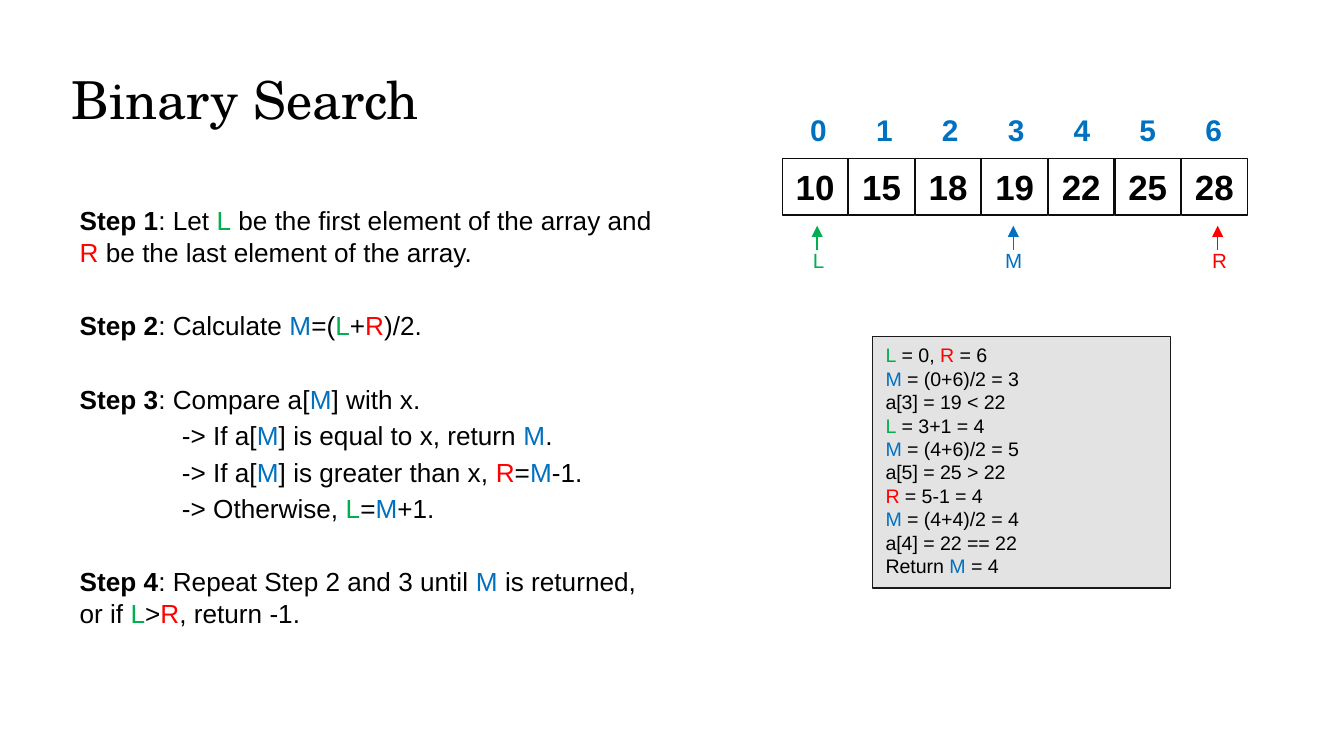
from lxml import etree
from pptx import Presentation
from pptx.dml.color import RGBColor
from pptx.enum.shapes import MSO_CONNECTOR, MSO_SHAPE
from pptx.enum.text import MSO_ANCHOR, PP_ALIGN
from pptx.oxml.ns import qn
from pptx.util import Inches, Pt

RECT, LINE = MSO_SHAPE.RECTANGLE, MSO_CONNECTOR.STRAIGHT
LEFT, MID = PP_ALIGN.LEFT, PP_ALIGN.CENTER
TOP, CENTER = MSO_ANCHOR.TOP, MSO_ANCHOR.MIDDLE

BLACK = RGBColor(0x00, 0x00, 0x00)
GREEN = RGBColor(0x00, 0xB0, 0x50)
RED = RGBColor(0xFF, 0x00, 0x00)
BLUE = RGBColor(0x00, 0x70, 0xC0)
GREY = RGBColor(0xE3, 0xE3, 0xE3)
EDGE = RGBColor(0x0D, 0x0D, 0x0D)
RIM = RGBColor(0x1A, 0x1A, 0x1A)
TONES = {"L": GREEN, "M": BLUE, "R": RED}

deck = Presentation()
deck.slide_width = Inches(10)
deck.slide_height = deck.slide_width * 9 // 16
slide = deck.slides.add_slide(deck.slide_layouts[6])
shapes = slide.shapes
UNIT = deck.slide_width / 100  # grid step: one percent of the width


def grid(*steps):
    return [round(step * UNIT) for step in steps]


def write(shape, lines, size, face="Arial", tone=BLACK, bold=False,
          align=LEFT, anchor=TOP, wrap=True, pitch=None):
    """Fill a shape; pieces between bars are variables or step labels."""
    frame = shape.text_frame
    for name, value in {"word_wrap": wrap, "vertical_anchor": anchor}.items():
        setattr(frame, name, value)
    for i, line in enumerate(lines):
        para = frame.add_paragraph() if i else frame.paragraphs[0]
        para.alignment = align
        if pitch:
            para.line_spacing = Pt(pitch)
        for j, piece in enumerate(line.split("|")):
            if not piece:
                continue
            run = para.add_run()
            run.text = piece
            mark = j % 2 == 1
            look = {"name": face, "size": Pt(size),
                    "bold": bold or (mark and piece not in TONES)}
            for name, value in look.items():
                setattr(run.font, name, value)
            run.font.color.rgb = TONES.get(piece, tone) if mark else tone
    return frame.paragraphs


# Title
title = shapes.add_textbox(*grid(4.35, 4.5, 85, 9.4))
write(title, ["Binary Search"], 28, face="TeX Gyre Schola")

# Steps: each label opens a block, each arrow is indented
steps = [
    "|Step 1|: Let |L| be the first element of the array and "
    "|R| be the last element of the array.",
    "|Step 2|: Calculate |M|=(|L|+|R|)/2.",
    "|Step 3|: Compare a[|M|] with x.",
    "-> If a[|M|] is equal to x, return |M|.",
    "-> If a[|M|] is greater than x, |R|=|M|-1.",
    "-> Otherwise, |L|=|M|+1.",
    "|Step 4|: Repeat Step 2 and 3 until |M| is returned, "
    "or if |L|>|R|, return -1.",
]
body = shapes.add_textbox(*grid(4.35, 14.7, 45.7, 32.3))
for i, para in enumerate(write(body, steps, 14, pitch=17.15)):
    inner = para.text.startswith("->")
    props = para._p.get_or_add_pPr()
    props.set("marL", str(Inches(0.82 if inner else 0.06)))
    props.set("indent", "0")
    if i:
        para.space_before = Pt(2.4 if inner else 22)

# Array: index above each cell
for i, item in enumerate([10, 15, 18, 19, 22, 25, 28]):
    index = shapes.add_textbox(*grid(59.3 + 4.9 * i, 7.8, 3.2, 3.7))
    write(index, [str(i)], 16, tone=BLUE, bold=True, align=MID, wrap=False)
    cell = shapes.add_shape(RECT, *grid(58.2 + 4.95 * i, 11.8, 4.9, 4.2))
    cell.shadow.inherit = False
    cell.fill.background()
    cell.line.color.rgb, cell.line.width = EDGE, Pt(0.75)
    write(cell, [str(item)], 18.7, bold=True, align=MID, anchor=CENTER,
          wrap=False)

# Pointers under the array: arrow and label positions
for name, x, left in [("L", 60.8, 59.5), ("R", 90.6, 89.2), ("M", 75.4, 73.8)]:
    arrow = shapes.add_connector(LINE, *grid(x, 18.6, x, 16.8))
    arrow.line.color.rgb, arrow.line.width = TONES[name], Pt(0.75)
    tip = etree.SubElement(arrow.line._get_or_add_ln(), qn("a:tailEnd"))
    tip.set("type", "triangle")
    etree.SubElement(arrow._element.spPr, qn("a:effectLst"))
    label = shapes.add_textbox(*grid(left, 17.95, 2.9, 2.9))
    write(label, [name], 11, tone=TONES[name])

# Worked run of the search for 22
trace = [
    "|L| = 0, |R| = 6",
    "|M| = (0+6)/2 = 3",
    "a[3] = 19 < 22",
    "|L| = 3+1 = 4",
    "|M| = (4+6)/2 = 5",
    "a[5] = 25 > 22",
    "|R| = 5-1 = 4",
    "|M| = (4+4)/2 = 4",
    "a[4] = 22 == 22",
    "Return |M| = 4",
]
panel = shapes.add_shape(RECT, *grid(64.9, 25.05, 22.2, 18.7))
panel.shadow.inherit = False
panel.fill.solid()
panel.fill.fore_color.rgb = GREY
panel.line.color.rgb, panel.line.width = RIM, Pt(0.75)
write(panel, trace, 10.5, pitch=12.56)

deck.save("out.pptx")
